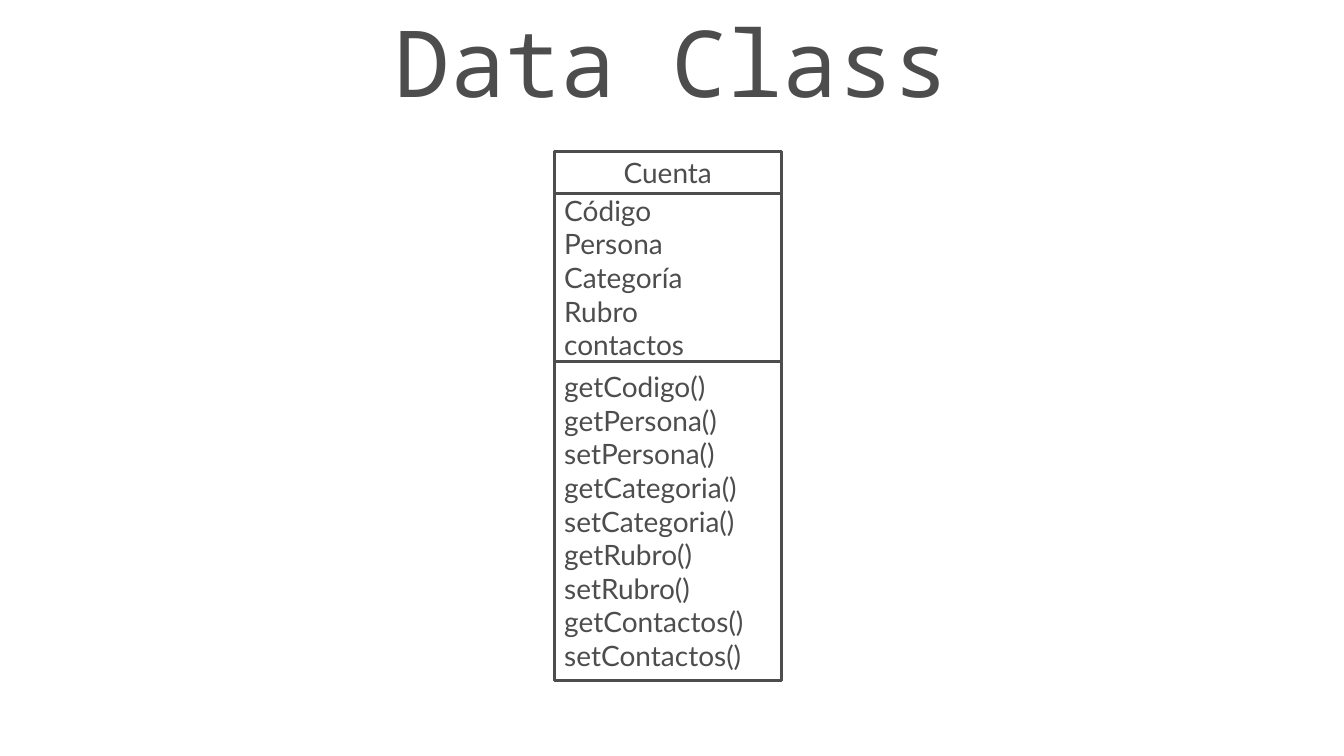
from pptx import Presentation
from pptx.dml.color import RGBColor
from pptx.enum.shapes import MSO_SHAPE
from pptx.enum.text import MSO_ANCHOR, MSO_AUTO_SIZE, PP_ALIGN
from pptx.util import Cm, Pt

INK = RGBColor(0x4D, 0x4D, 0x4D)
WHITE = RGBColor(0xFF, 0xFF, 0xFF)
RECT = MSO_SHAPE.RECTANGLE
MIDDLE = MSO_ANCHOR.MIDDLE
NO_FIT = MSO_AUTO_SIZE.NONE
LEFT, CENTER = PP_ALIGN.LEFT, PP_ALIGN.CENTER

NAME = ["Cuenta"]
FIELDS = ["Código", "Persona", "Categoría", "Rubro", "contactos"]
METHODS = ["getCodigo()", "getPersona()", "setPersona()",
           "getCategoria()", "setCategoria()", "getRubro()", "setRubro()",
           "getContactos()", "setContactos()"]


def write(frame, lines, font, size, align):
    frame.word_wrap = True
    frame.auto_size = NO_FIT
    frame.vertical_anchor = MIDDLE
    frame.margin_top = frame.margin_bottom = 0
    for i, line in enumerate(lines):
        para = frame.add_paragraph() if i else frame.paragraphs[0]
        para.alignment = align
        run = para.add_run()
        run.text = line
        run.font.name = font
        run.font.size = Pt(size)
        run.font.color.rgb = INK


def add_title(slide, text, left, top, width, height):
    title = slide.shapes.title
    title.left, title.top = left, top
    title.width, title.height = width, height
    write(title.text_frame, [text], "Noto Sans Mono", 66, CENTER)


def add_part(slide, lines, align, left, top, width, height):
    """Draw one compartment of the class box."""
    part = slide.shapes.add_shape(RECT, left, top, width, height)
    part.shadow.inherit = False
    part.fill.solid()
    part.fill.fore_color.rgb = WHITE
    part.line.color.rgb = INK
    part.line.width = Pt(2)
    write(part.text_frame, lines, "Lato", 20, align)


def add_class(slide, left, top, width, height):
    """Stack name, fields and methods; methods take the height left over."""
    head, body = Cm(1.06), Cm(4.23)
    parts = [(NAME, CENTER, head), (FIELDS, LEFT, body),
             (METHODS, LEFT, height - head - body)]
    for lines, align, tall in parts:
        add_part(slide, lines, align, left, top, width, tall)
        top += tall


def main():
    deck = Presentation()
    deck.slide_width, deck.slide_height = Cm(33.87), Cm(19.05)
    slide = deck.slides.add_slide(deck.slide_layouts.get_by_name("Title Only"))
    slide.background.fill.solid()
    slide.background.fill.fore_color.rgb = WHITE
    add_title(slide, "Data Class", Cm(4.23), 0, Cm(25.4), Cm(3.07))
    add_class(slide, Cm(13.97), Cm(3.81), Cm(5.72), Cm(13.34))
    deck.save("out.pptx")


if __name__ == "__main__":
    main()
